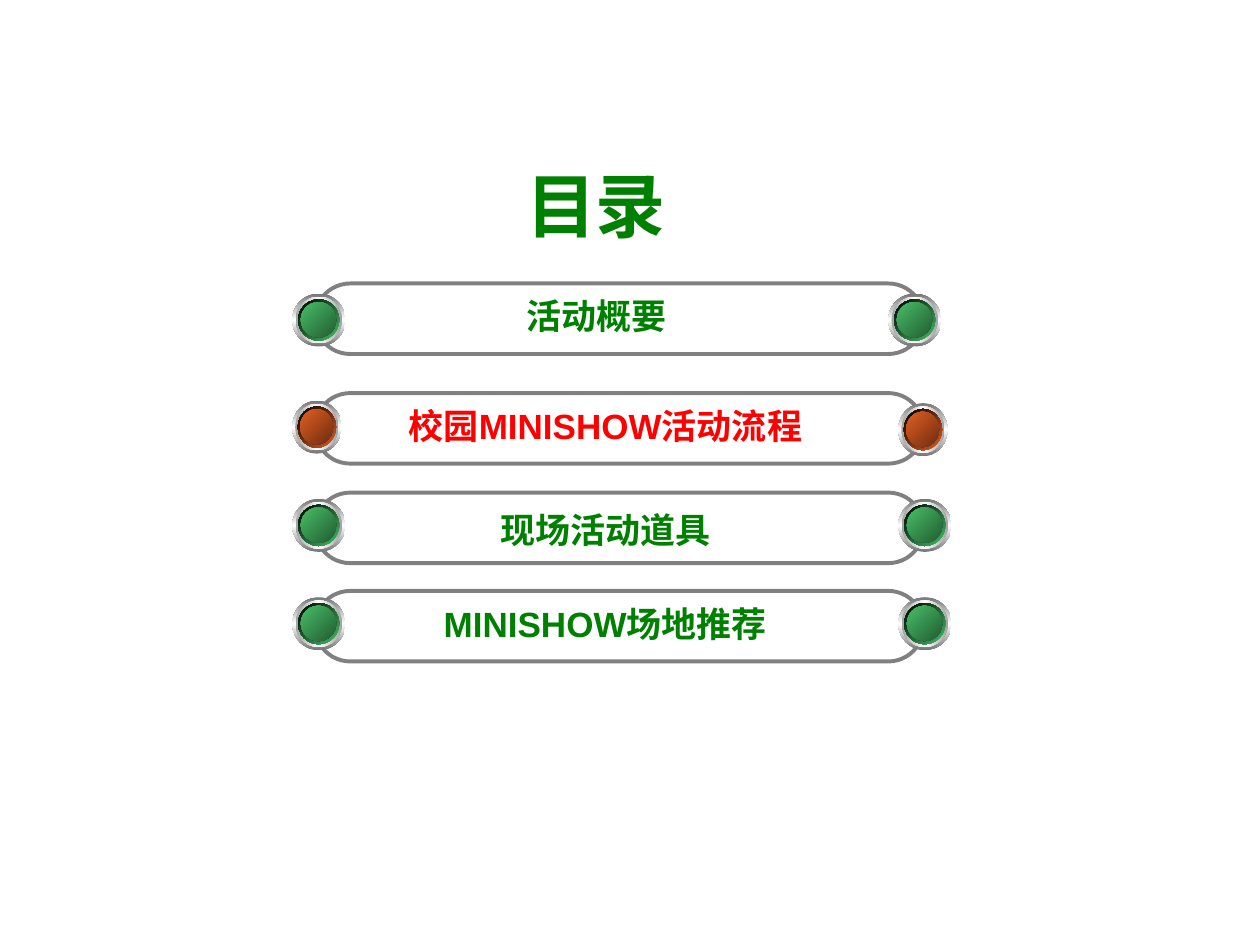
from copy import deepcopy
from dataclasses import dataclass

from pptx import Presentation
from pptx.dml.color import RGBColor
from pptx.enum.shapes import MSO_SHAPE as Preset
from pptx.enum.text import MSO_ANCHOR as Anchor, MSO_AUTO_SIZE as AutoSize, PP_ALIGN as Align
from pptx.oxml.ns import qn
from pptx.util import Inches, Pt

COLUMNS, ROWS = 100, 75
CELL = Inches(0.1)

GREEN = RGBColor(0x00, 0x80, 0x00)
RED = RGBColor(0xFF, 0x00, 0x00)
GREY = RGBColor(0x80, 0x80, 0x80)
STEEL = RGBColor(0x75, 0x75, 0x75)
SILVER = RGBColor(0xA1, 0xA1, 0xA1)
WHITE = RGBColor(0xFF, 0xFF, 0xFF)
PEARL = RGBColor(0xFE, 0xFE, 0xFE)
TEAL = RGBColor(0x00, 0x99, 0x99)
DEEP_TEAL = RGBColor(0x00, 0x52, 0x52)
BLACK = RGBColor(0x00, 0x00, 0x00)
LEAF = RGBColor(0x48, 0xBE, 0x67)
DEEP_LEAF = RGBColor(0x22, 0x5C, 0x31)
EMBER = RGBColor(0xE3, 0x5E, 0x23)
DEEP_EMBER = RGBColor(0x6D, 0x2D, 0x10)

BAR_LEFT, BAR_WIDTH, BAR_HEIGHT = 25, 48.3, 5.6
LAMP_LEFT, LAMP_HEIGHT = 23.2, 4.2


@dataclass
class Entry:
    """One line of the contents, with its places in grid cells."""
    text: str
    bar_top: float
    text_top: float
    text_width: float
    lamp_tops: tuple
    text_center: float = 48.05
    right_lamp: float = 71.3
    lamp_width: float = 4.2
    color: RGBColor = GREEN
    glow: RGBColor = LEAF
    shade: RGBColor = DEEP_LEAF


ENTRIES = [
    Entry("活动概要", 22.5, 22.9, 13.5, (23.3, 23.3), text_center=47.35, right_lamp=70.5),
    Entry("校园MINISHOW活动流程", 31.2, 31.6, 36, (31.8, 32), lamp_width=3.9,
          color=RED, glow=EMBER, shade=DEEP_EMBER),
    Entry("现场活动道具", 39.1, 39.9, 19, (39.6, 39.6)),
    Entry("MINISHOW场地推荐", 46.9, 47.3, 29, (47.4, 47.4)),
]


def grid(*cells):
    """Turn grid cells into lengths."""
    return [round(cell * CELL) for cell in cells]


def write_text(frame, text, *, size, color, font="Arial", bold=True, align=Align.CENTER):
    """Write one unwrapped, formatted line into a text frame."""
    frame.word_wrap = False
    frame.auto_size = AutoSize.SHAPE_TO_FIT_TEXT
    frame.vertical_anchor = Anchor.TOP
    line = frame.paragraphs[0]
    line.alignment = align
    run = line.add_run()
    run.text = text
    run.font.name, run.font.size, run.font.bold = font, Pt(size), bold
    run.font.color.rgb = color


def add_title(slide, text):
    """Place the heading in the title placeholder."""
    title = slide.shapes.title
    title.left, title.top, title.width, title.height = grid(40.2, 12.4, 14.2, 7.7)
    write_text(title.text_frame, text, size=40, color=GREEN)


def add_bar(slide, top):
    """Draw the rounded outline of an entry."""
    bar = slide.shapes.add_shape(
        Preset.ROUNDED_RECTANGLE, *grid(BAR_LEFT, top, BAR_WIDTH, BAR_HEIGHT))
    bar.adjustments[0] = 0.5
    bar.shadow.inherit = False
    bar.fill.background()
    bar.line.color.rgb = GREY
    bar.line.width = Pt(2.25)


def fill_gradient(shape, colors, angle):
    """Fill a shape with evenly spaced colours along a clockwise angle."""
    shape.fill.gradient()
    shape.fill.gradient_angle = 360 - angle
    stop_list = shape.fill._xPr.find(qn("a:gradFill")).find(qn("a:gsLst"))
    for _ in colors[2:]:
        stop_list.append(deepcopy(stop_list[0]))
    for index, (stop, color) in enumerate(zip(shape.fill.gradient_stops, colors)):
        stop.color.rgb = color
        stop.position = index / (len(colors) - 1)


def add_lamp(slide, left, top, entry):
    """Stack the gradient discs of one lamp in a group."""
    layers = [
        (0, 1, (STEEL, WHITE, STEEL), 90),
        (0.06, 0.88, (SILVER, WHITE, SILVER), 180),
        (0.11, 0.78, (PEARL, TEAL, PEARL), 225),
        (0.11, 0.78, (entry.glow, BLACK), 225),
        (0.16, 0.67, (DEEP_TEAL, TEAL, DEEP_TEAL), 135),
        (0.16, 0.67, (entry.shade, entry.glow), 225),
    ]
    lamp = slide.shapes.add_group_shape()
    for inset, share, colors, angle in layers:
        disc = lamp.shapes.add_shape(Preset.OVAL, *grid(
            left + inset * entry.lamp_width, top + inset * LAMP_HEIGHT,
            share * entry.lamp_width, share * LAMP_HEIGHT))
        disc.shadow.inherit = False
        disc.line.fill.background()
        fill_gradient(disc, colors, angle)


def add_entry(slide, entry):
    """Build one entry: outline, label and a lamp at each end."""
    add_bar(slide, entry.bar_top)
    label = slide.shapes.add_textbox(*grid(
        entry.text_center - entry.text_width / 2, entry.text_top, entry.text_width, 4.4))
    write_text(label.text_frame, entry.text, size=20, color=entry.color)
    for left, top in zip((LAMP_LEFT, entry.right_lamp), entry.lamp_tops):
        add_lamp(slide, left, top, entry)


def main():
    """Build the contents slide and save it."""
    deck = Presentation()
    deck.slide_width, deck.slide_height = grid(COLUMNS, ROWS)
    slide = deck.slides.add_slide(deck.slide_layouts.get_by_name("Title Only"))
    add_title(slide, "目录")
    for entry in ENTRIES:
        add_entry(slide, entry)
    deck.save("out.pptx")


if __name__ == "__main__":
    main()
